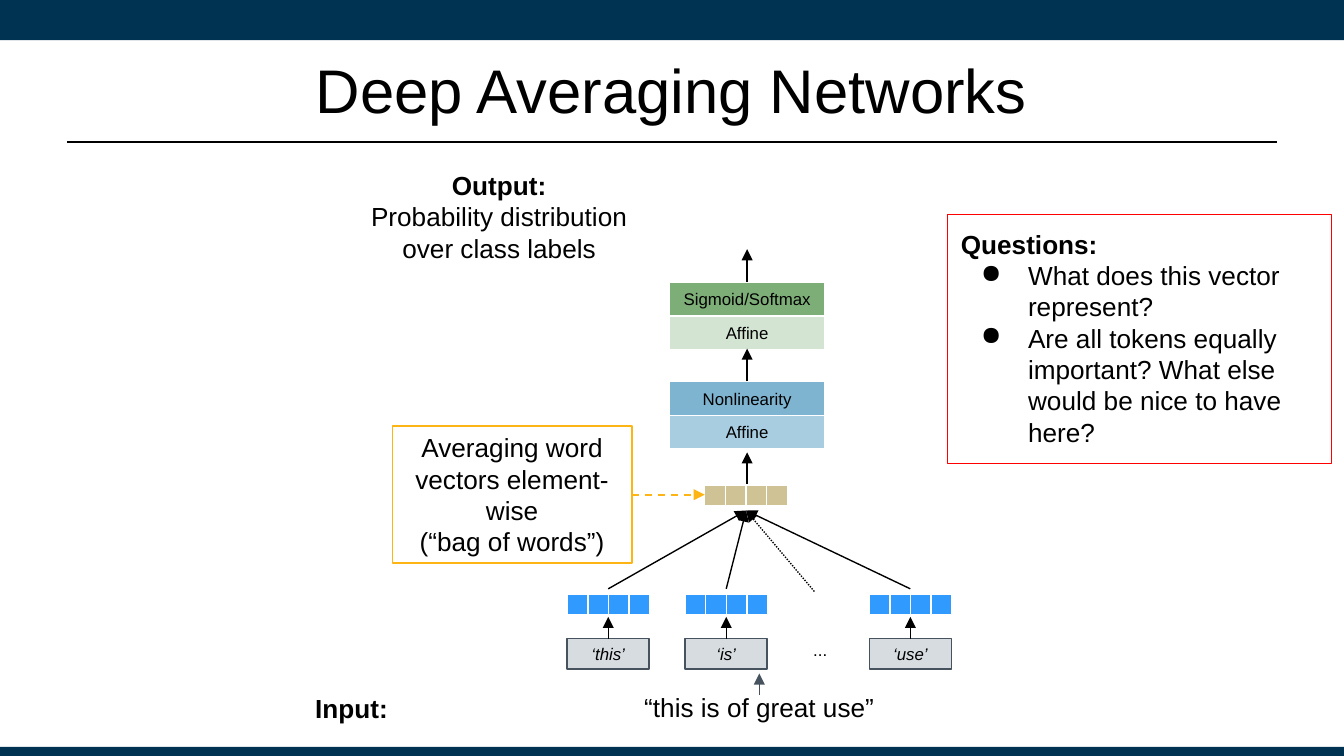
from lxml import etree
from pptx import Presentation
from pptx.dml.color import RGBColor
from pptx.enum.dml import MSO_LINE
from pptx.enum.shapes import MSO_CONNECTOR, MSO_SHAPE
from pptx.enum.text import MSO_ANCHOR, PP_ALIGN
from pptx.oxml.ns import qn
from pptx.util import Cm, Pt

COLORS = {
    "navy": "003252", "black": "000000", "white": "FFFFFF", "slate": "46535E",
    "gray": "D7DCE0", "word": "319AFE", "mean": "CFC396", "amber": "FDB515",
    "red": "FF0000", "green": "7EAE78", "pale green": "D4E4D2",
    "blue": "7EB4D0", "pale blue": "A8CDE0",
}

# Content
TITLE = "Deep Averaging Networks"
LAYERS = [  # label, fill, top, outline width
    ("Sigmoid/Softmax", "green", 5.33, 1),
    ("Affine", "pale green", 5.97, 1),
    ("Nonlinearity", "blue", 7.21, 0.75),
    ("Affine", "pale blue", 7.85, 0.75),
]
WORDS = [("‘this’", 10.72), ("‘is’", 12.95), ("‘use’", 16.43)]
AVERAGING = ["Averaging word vectors element-wise", "(“bag of words”)"]
QUESTIONS = [
    "What does this vector represent?",
    "Are all tokens equally important? What else would be nice to have here?",
]

# Layout in centimetres
AXIS = 14.12
LAYER_WIDTH, LAYER_HEIGHT = 2.95, 0.64
WORD_WIDTH, WORD_HEIGHT, WORD_TOP = 1.55, 0.58, 12.07
CELL, CELL_COUNT = 0.39, 4
VECTOR_TOP, MEAN_TOP, MEAN_LEFT = 11.23, 9.17, 13.32
FAN_TIP = (14.1, 9.65)

deck = Presentation()
deck.slide_width, deck.slide_height = Cm(25.4), Cm(14.29)
page = deck.slides.add_slide(deck.slide_layouts[5])


def color(name):
    return RGBColor.from_string(COLORS[name])


def style(paragraph, size, bold=False, italic=False, align=PP_ALIGN.CENTER):
    paragraph.alignment = align
    font = paragraph.font
    font.name, font.size = "Arial", Pt(size)
    font.bold, font.italic = bold, italic
    font.color.rgb = color("black")


def write(shape, lines, size=14, inset=0.18, anchor=MSO_ANCHOR.MIDDLE, **look):
    frame = shape.text_frame
    frame.word_wrap, frame.vertical_anchor = True, anchor
    frame.margin_left = frame.margin_right = Cm(inset)
    frame.margin_top = frame.margin_bottom = Cm(inset)
    frame.text = "\n".join(lines)
    for paragraph in frame.paragraphs:
        style(paragraph, size, **look)
    return frame


def add_box(left, top, width, height, fill=None, line=None, weight=0.75):
    box = page.shapes.add_shape(
        MSO_SHAPE.RECTANGLE, Cm(left), Cm(top), Cm(width), Cm(height))
    box.shadow.inherit = False
    if fill:
        box.fill.solid()
        box.fill.fore_color.rgb = color(fill)
    else:
        box.fill.background()
    if line:
        box.line.color.rgb = color(line)
        box.line.width = Pt(weight)
    else:
        box.line.fill.background()
    return box


def add_label(left, top, width, height, lines, **look):
    label = page.shapes.add_textbox(Cm(left), Cm(top), Cm(width), Cm(height))
    return write(label, lines, anchor=MSO_ANCHOR.TOP, **look)


def add_line(start, end, line="black", weight=0.75, dash=None, arrow=True):
    connector = page.shapes.add_connector(
        MSO_CONNECTOR.STRAIGHT, *(Cm(value) for value in (*start, *end)))
    connector.line.color.rgb = color(line)
    connector.line.width = Pt(weight)
    if dash:
        connector.line.dash_style = dash
    if arrow:
        outline = connector.line._get_or_add_ln()
        etree.SubElement(outline, qn("a:tailEnd"), type="triangle")
    etree.SubElement(connector._element.spPr, qn("a:effectLst"))


def add_vector(left, top, fill):
    for index in range(CELL_COUNT):
        add_box(left + index * CELL, top, CELL, CELL, fill, "white")


# Slide frame and title
add_box(0, 0, 25.4, 0.76, "navy")
add_box(0, 14.12, 25.4, 0.17, "navy")
add_line((1.27, 2.69), (24.13, 2.69), weight=1.25, arrow=False)
title = page.shapes.title
title.left, title.top, title.width, title.height = Cm(1.3), Cm(0.79), Cm(22.78), Cm(1.78)
write(title, [TITLE], size=33, inset=0.1)

# Network layers and the arrows between them
for text, fill, top, weight in LAYERS:
    layer = add_box(AXIS - LAYER_WIDTH / 2, top, LAYER_WIDTH, LAYER_HEIGHT,
                    fill, "white", weight)
    write(layer, [text], size=9)
for bottom in (LAYERS[0][2], LAYERS[2][2], MEAN_TOP):
    add_line((AXIS, bottom), (AXIS, bottom - 0.62))

# Words, their vectors and the average
for text, left in WORDS:
    word = add_box(left, WORD_TOP, WORD_WIDTH, WORD_HEIGHT, "gray", "slate")
    write(word, [text], size=9, italic=True)
    add_vector(left, VECTOR_TOP, "word")
    center = left + WORD_WIDTH / 2
    add_line((center, WORD_TOP), (center, 11.66))
    add_line((center, 11.13), FAN_TIP)
add_label(15.19, 11.91, 0.89, 0.76, ["..."], size=9, align=PP_ALIGN.LEFT)
add_line((15.39, 11.18), FAN_TIP, dash=MSO_LINE.ROUND_DOT)
add_vector(MEAN_LEFT, MEAN_TOP, "mean")

# Input and output
add_label(10.72, 12.88, 7.26, 0.97, ["“this is of great use”"])
add_line((14.35, 13.13), (14.35, 12.73), "slate")
add_label(3.66, 12.9, 5.97, 0.84, ["Input:"], bold=True)
output = add_label(6.83, 3.02, 5.21, 0.84, ["Output:"]).paragraphs[0]
output.runs[0].font.bold = True
output.add_line_break()
output.add_run().text = "Probability distribution over class labels"

# Averaging note
note = add_box(7.42, 8.05, 4.52, 2.59, line="amber", weight=1)
write(note, AVERAGING)
add_line((11.94, 9.35), (MEAN_LEFT, 9.35), "amber", 1, MSO_LINE.DASH)

# Questions
panel = add_box(17.91, 4.06, 7.26, 4.7, line="red")
frame = write(panel, ["Questions:"], inset=0.25, anchor=MSO_ANCHOR.TOP,
              bold=True, align=PP_ALIGN.LEFT)
for question in QUESTIONS:
    item = frame.add_paragraph()
    item.text = question
    properties = item._p.get_or_add_pPr()
    properties.set("marL", str(Cm(1.27)))
    properties.set("indent", str(-Cm(0.89)))
    etree.SubElement(properties, qn("a:buChar"), char="●")
    style(item, 14, align=PP_ALIGN.LEFT)

deck.save("out.pptx")
